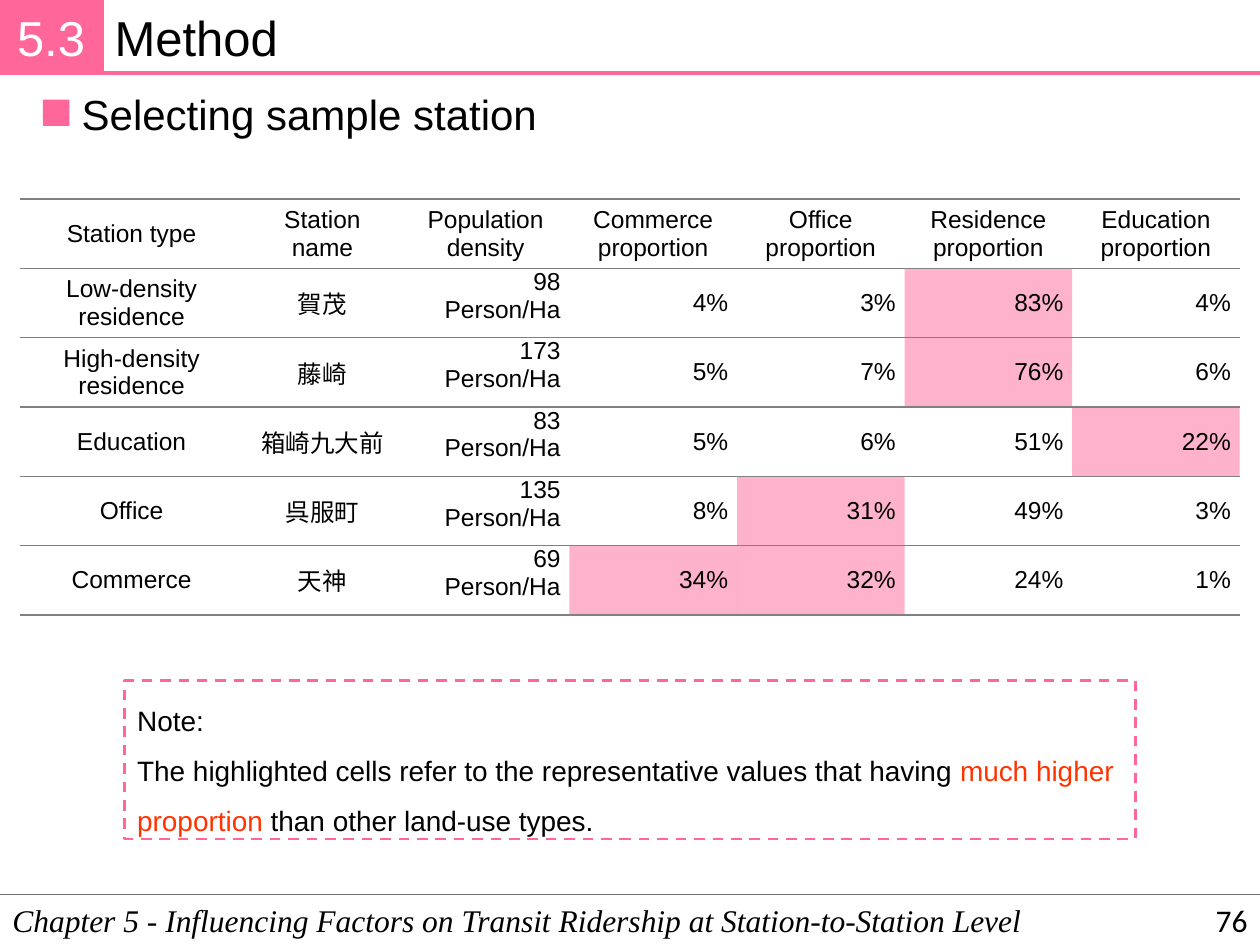
from lxml.etree import SubElement
from pptx import Presentation
from pptx.dml.color import RGBColor
from pptx.enum.dml import MSO_LINE
from pptx.enum.shapes import MSO_CONNECTOR, MSO_SHAPE
from pptx.enum.text import MSO_ANCHOR, MSO_AUTO_SIZE, PP_ALIGN
from pptx.oxml import parse_xml
from pptx.oxml.ns import nsdecls, qn
from pptx.util import Inches, Pt

PINK, GREY, BLACK = "FF6699", "808080", "000000"


def rgb(value):
    return RGBColor.from_string(value)


def add_run(paragraph, text, size, color=BLACK, face="Arial"):
    run = paragraph.add_run()
    run.text = text
    run.font.size = Pt(size)
    run.font.name = face
    run.font.color.rgb = rgb(color)
    return run


prs = Presentation()
prs.slide_width, prs.slide_height = Inches(10), Inches(7.5)
slide = prs.slides.add_slide(prs.slide_layouts[5])
shapes = slide.shapes

heading = shapes.title
heading.left, heading.top = Inches(0.81), Inches(0.01)
heading.width, heading.height = Inches(9.19), Inches(0.57)
heading.text_frame.auto_size = MSO_AUTO_SIZE.NONE
heading.text_frame.vertical_anchor = MSO_ANCHOR.TOP
heading.text_frame.paragraphs[0].alignment = PP_ALIGN.LEFT
add_run(heading.text_frame.paragraphs[0], "Method", 28)

section = shapes.add_shape(MSO_SHAPE.RECTANGLE, 0, 0, Inches(0.81), Inches(0.58))
section.shadow.inherit = False
section.fill.solid()
section.fill.fore_color.rgb = rgb(PINK)
section.line.color.rgb = rgb(PINK)
section.line.width = Pt(2.25)
number = section.text_frame
number.margin_left = number.margin_right = Inches(0.06)
number.margin_top = number.margin_bottom = Inches(0.06)
number.vertical_anchor = MSO_ANCHOR.MIDDLE
number.paragraphs[0].alignment = PP_ALIGN.CENTER
add_run(number.paragraphs[0], "5.3", 28, "FFFFFF")

for left, top, color, weight in [(0.81, 0.58, PINK, 2.25), (0, 7.1, "767171", 1)]:
    rule = shapes.add_connector(
        MSO_CONNECTOR.STRAIGHT, Inches(left), Inches(top), Inches(10), Inches(top))
    rule.line.color.rgb = rgb(color)
    rule.line.width = Pt(weight)
    SubElement(rule.element.spPr, qn("a:effectLst"))

chapter = shapes.add_textbox(0, Inches(7.1), Inches(10), Inches(0.4)).text_frame
chapter.word_wrap = True
chapter_run = add_run(
    chapter.paragraphs[0],
    "Chapter 5 - Influencing Factors on Transit Ridership at Station-to-Station Level",
    18, face="Times New Roman")
chapter_run.font.italic = True

page = shapes.add_textbox(Inches(7.75), Inches(7.1), Inches(2.25), Inches(0.4)).text_frame
page.word_wrap = True
page.vertical_anchor = MSO_ANCHOR.MIDDLE
page.paragraphs[0].alignment = PP_ALIGN.RIGHT
add_run(page.paragraphs[0], "76", 18, face="Calibri")

topic = shapes.add_group_shape()
bullet = topic.shapes.add_shape(
    MSO_SHAPE.RECTANGLE, Inches(0.34), Inches(0.79), Inches(0.21), Inches(0.21))
bullet.shadow.inherit = False
bullet.fill.solid()
bullet.fill.fore_color.rgb = rgb(PINK)
bullet.line.fill.background()
topic_text = topic.shapes.add_textbox(
    Inches(0.55), Inches(0.65), Inches(3.85), Inches(0.5)).text_frame
topic_text.word_wrap = False
add_run(topic_text.paragraphs[0], "Selecting sample station", 24)

stations = [
    ["Station type", "Station name", "Population density", "Commerce proportion",
     "Office proportion", "Residence proportion", "Education proportion"],
    ["Low-density residence", "賀茂", "98\nPerson/Ha", "4%", "3%", "83%", "4%"],
    ["High-density residence", "藤崎", "173\nPerson/Ha", "5%", "7%", "76%", "6%"],
    ["Education", "箱崎九大前", "83\nPerson/Ha", "5%", "6%", "51%", "22%"],
    ["Office", "呉服町", "135\nPerson/Ha", "8%", "31%", "49%", "3%"],
    ["Commerce", "天神", "69\nPerson/Ha", "34%", "32%", "24%", "1%"],
]
highlighted = {(1, 5), (2, 5), (3, 6), (4, 4), (5, 3), (5, 4)}

table = shapes.add_table(
    6, 7, Inches(0.16), Inches(1.58), Inches(9.69), Inches(3.3)).table
table.first_row = table.horz_banding = False
for column, width in zip(table.columns, [1.77, 1.26] + [1.33] * 5):
    column.width = Inches(width)

for r, station in enumerate(stations):
    table.rows[r].height = Inches(0.55)
    for c, value in enumerate(station):
        cell = table.cell(r, c)
        cell.margin_left = cell.margin_right = Inches(0.12 if r and c == 1 else 0.07)
        cell.margin_top = cell.margin_bottom = 0
        density = r > 0 and c == 2
        cell.vertical_anchor = MSO_ANCHOR.TOP if density else MSO_ANCHOR.MIDDLE
        for i, line in enumerate(value.split("\n")):
            frame = cell.text_frame
            paragraph = frame.add_paragraph() if i else frame.paragraphs[0]
            paragraph.alignment = PP_ALIGN.RIGHT if r and c > 1 else PP_ALIGN.CENTER
            add_run(paragraph, line, 14)

        properties = cell._tc.get_or_add_tcPr()
        for side in ("lnL", "lnR"):
            properties.append(parse_xml(
                f'<a:{side} {nsdecls("a")} w="0"><a:noFill/></a:{side}>'))
        for side in ("lnT", "lnB"):
            weight = Pt(1.5 if r == 0 and side == "lnT" else 1)
            properties.append(parse_xml(
                f'<a:{side} {nsdecls("a")} w="{weight}"><a:solidFill>'
                f'<a:srgbClr val="{GREY}"/></a:solidFill></a:{side}>'))
        if (r, c) in highlighted:
            cell.fill.solid()
            cell.fill.fore_color.rgb = rgb(PINK)
            tint = properties.find(qn("a:solidFill")).find(qn("a:srgbClr"))
            SubElement(tint, qn("a:alpha")).set("val", "50000")
        else:
            cell.fill.background()

note = shapes.add_shape(
    MSO_SHAPE.RECTANGLE, Inches(0.99), Inches(5.4), Inches(8.02), Inches(1.26))
note.shadow.inherit = False
note.fill.background()
note.line.color.rgb = rgb(PINK)
note.line.width = Pt(1.5)
note.line.dash_style = MSO_LINE.DASH
note.text_frame.word_wrap = True
note.text_frame.vertical_anchor = MSO_ANCHOR.TOP
note_label = note.text_frame.paragraphs[0]
note_body = note.text_frame.add_paragraph()
for paragraph in (note_label, note_body):
    paragraph.alignment = PP_ALIGN.LEFT
    paragraph.line_spacing = 1.5
add_run(note_label, "Note:", 16)
add_run(note_body, "The highlighted cells refer to the representative values that having ", 16)
add_run(note_body, "much higher proportion ", 16, "FF3300")
add_run(note_body, "than other land-use types.", 16)

prs.save("out.pptx")
